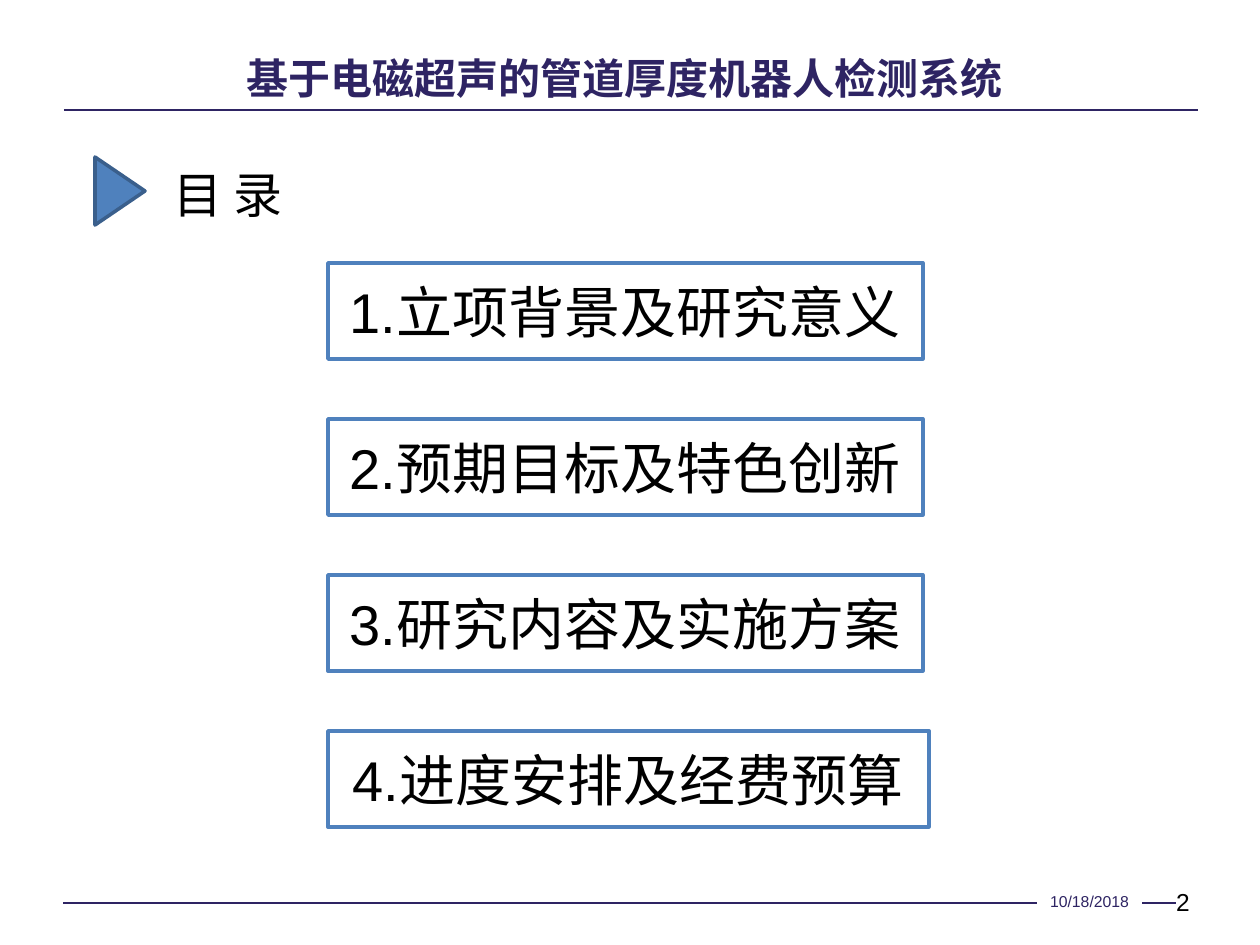
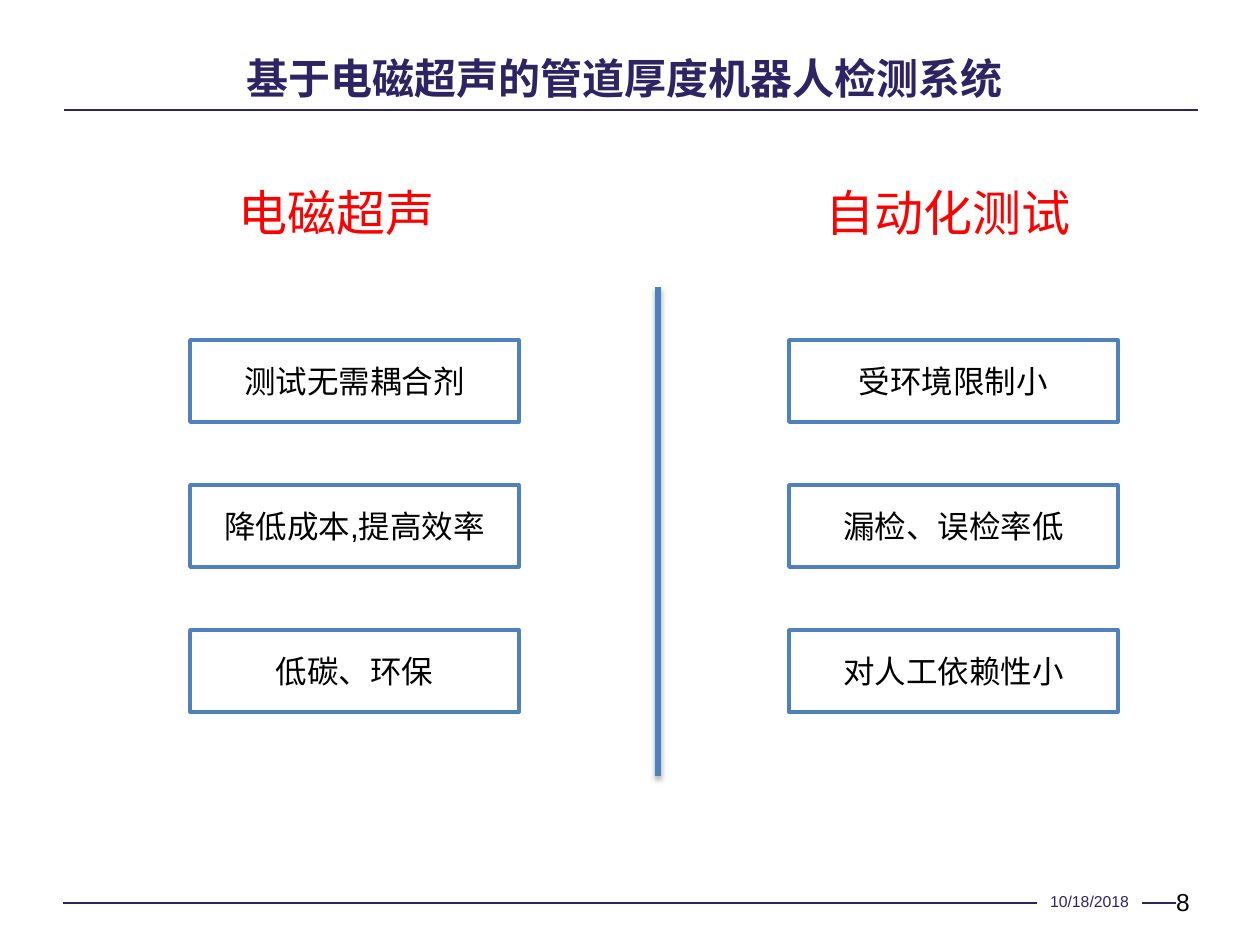
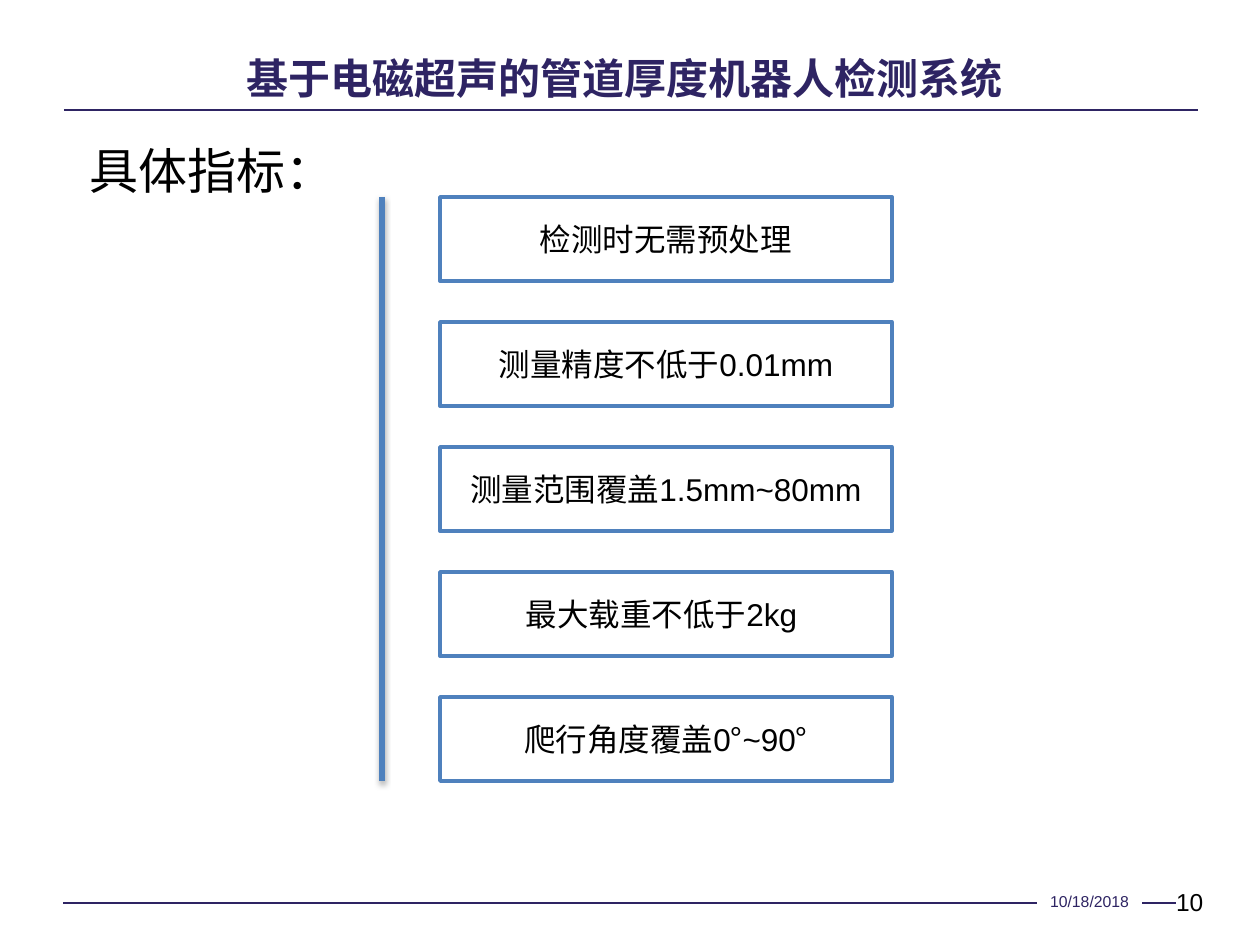
from dataclasses import dataclass
from itertools import groupby

from lxml import etree
from pptx import Presentation
from pptx.dml.color import RGBColor
from pptx.enum.shapes import MSO_CONNECTOR, MSO_SHAPE
from pptx.enum.text import MSO_ANCHOR, MSO_AUTO_SIZE, PP_ALIGN
from pptx.oxml.ns import qn
from pptx.util import Emu, Pt

STRAIGHT = MSO_CONNECTOR.STRAIGHT
RECTANGLE = MSO_SHAPE.RECTANGLE
TRIANGLE = MSO_SHAPE.ISOSCELES_TRIANGLE
TOP, MIDDLE = MSO_ANCHOR.TOP, MSO_ANCHOR.MIDDLE
LEFT, CENTER = PP_ALIGN.LEFT, PP_ALIGN.CENTER
GROW = MSO_AUTO_SIZE.SHAPE_TO_FIT_TEXT
PX_PER_INCH = 126
DECK_TITLE = "基于电磁超声的管道厚度机器人检测系统"
DECK_DATE = "10/18/2018"


@dataclass(frozen=True)
class Theme:
    """Colours, fonts and type sizes of the deck."""
    navy: str = "2E2463"
    blue: str = "4F81BD"
    dark_blue: str = "3A5F8C"
    red: str = "FF0000"
    black: str = "000000"
    white: str = "FFFFFF"
    latin: str = "Arial"
    chinese: str = "Noto Sans CJK SC"
    date: int = 9
    number: int = 14
    body: int = 18
    title: int = 24
    heading: int = 28
    agenda: int = 32


THEME = Theme()


def px(length):
    """Turn pixels into EMU."""
    return Emu(round(length * 914400 / PX_PER_INCH))


def rgb(colour):
    """Turn a hex string into a colour."""
    return RGBColor.from_string(colour)


def format_run(run, size, colour, font, bold):
    """Set the type of one run, for Latin and Chinese text."""
    run.font.name = font
    run.font.size = Pt(size)
    run.font.bold = bold
    run.font.color.rgb = rgb(colour)
    latin = run.font._element.find(qn("a:latin"))
    east_asian = etree.Element(qn("a:ea"), typeface=THEME.chinese)
    latin.addnext(east_asian)


def write(shape, text, size, colour=THEME.black, align=LEFT, anchor=TOP,
          font=THEME.latin, bold=False, inset=True):
    """Write one paragraph, with degree signs in the Chinese font."""
    frame = shape.text_frame
    frame.word_wrap = True
    frame.vertical_anchor = anchor
    if not inset:
        frame.margin_left = frame.margin_right = 0
        frame.margin_top = frame.margin_bottom = 0
    paragraph = frame.paragraphs[0]
    paragraph.alignment = align
    for is_degree, letters in groupby(text, lambda letter: letter == "°"):
        run = paragraph.add_run()
        run.text = "".join(letters)
        format_run(run, size, colour, THEME.chinese if is_degree else font, bold)


def add_block(slide, kind, left, top, width, height, fill, line=None):
    """Add a flat preset shape."""
    shape = slide.shapes.add_shape(kind, px(left), px(top), px(width), px(height))
    shape.shadow.inherit = False
    shape.fill.solid()
    shape.fill.fore_color.rgb = rgb(fill)
    if line:
        shape.line.color.rgb = rgb(line)
        shape.line.width = Pt(2)
    else:
        shape.line.fill.background()
    return shape


def add_text(slide, left, top, width, height):
    """Add an empty text box."""
    return slide.shapes.add_textbox(px(left), px(top), px(width), px(height))


def add_heading(slide, text, left, top, width, colour=THEME.black, font=THEME.latin):
    """Add a large heading whose box grows with its text."""
    box = add_text(slide, left, top, width, 72)
    write(box, text, THEME.heading, colour, font=font)
    box.text_frame.auto_size = GROW


def add_line(slide, start, end, colour, width):
    """Add a straight line and return its empty effect list."""
    line = slide.shapes.add_connector(STRAIGHT, *map(px, start + end))
    line.line.color.rgb = rgb(colour)
    line.line.width = Pt(width)
    properties = line._element.find(qn("p:spPr"))
    return etree.SubElement(properties, qn("a:effectLst"))


def add_divider(slide, x, top, bottom):
    """Add a thick vertical line with a soft shadow."""
    effects = add_line(slide, (x, top), (x, bottom), THEME.blue, 3)
    shadow = etree.SubElement(effects, qn("a:outerShdw"), blurRad="40000",
                              dist="23000", dir="5400000", rotWithShape="0")
    colour = etree.SubElement(shadow, qn("a:srgbClr"), val=THEME.black)
    etree.SubElement(colour, qn("a:alpha"), val="35000")


def add_box(slide, text, left, top, width, height, size=THEME.body):
    """Add an outlined box with centred text."""
    box = add_block(slide, RECTANGLE, left, top, width, height, THEME.white, THEME.blue)
    write(box, text, size, align=CENTER, anchor=MIDDLE)


def add_box_column(slide, texts, left, top, width, height, step):
    """Stack outlined boxes at an even step."""
    for row, text in enumerate(texts):
        add_box(slide, text, left, top + row * step, width, height)


def add_framed_slide(presentation, number):
    """Add a blank slide with the shared title, rules, date and number."""
    slide = presentation.slides.add_slide(presentation.slide_layouts[6])
    add_line(slide, (63, 903), (1218, 903), THEME.navy, 1)
    date = add_block(slide, RECTANGLE, 1037, 892, 105, 20, THEME.white)
    write(date, DECK_DATE, THEME.date, THEME.navy, CENTER, inset=False)
    add_line(slide, (64, 110), (1198, 110), THEME.navy, 1)
    title = add_text(slide, 58, 53, 1134, 60)
    write(title, DECK_TITLE, THEME.title, THEME.navy, CENTER, bold=True, inset=False)
    page = add_block(slide, RECTANGLE, 1176, 887, 46, 30, THEME.white)
    write(page, str(number), THEME.number, inset=False)
    return slide


def build_agenda(presentation):
    """Build the table of contents."""
    slide = add_framed_slide(presentation, 2)
    marker = add_block(slide, TRIANGLE, 86, 166, 68, 50, THEME.blue, THEME.dark_blue)
    marker.rotation = 90
    add_heading(slide, "目 录", 161, 158, 144, font=THEME.chinese)
    chapters = [("立项背景及研究意义", 595), ("预期目标及特色创新", 595),
                ("研究内容及实施方案", 595), ("进度安排及经费预算", 601)]
    for row, (chapter, width) in enumerate(chapters):
        add_box(slide, f"{row + 1}.{chapter}", 328, 263 + row * 156, width, 96,
                THEME.agenda)


def build_advantages(presentation):
    """Build the two columns of advantages."""
    slide = add_framed_slide(presentation, 8)
    add_divider(slide, 658, 287, 776)
    columns = [
        ("电磁超声", 226, 260, 190, ["测试无需耦合剂", "降低成本,提高效率", "低碳、环保"]),
        ("自动化测试", 813, 284, 789, ["受环境限制小", "漏检、误检率低", "对人工依赖性小"]),
    ]
    for heading, heading_left, heading_width, box_left, advantages in columns:
        add_heading(slide, heading, heading_left, 176, heading_width, THEME.red)
        add_box_column(slide, advantages, box_left, 340, 329, 82, 145)


def build_targets(presentation):
    """Build the list of technical targets."""
    slide = add_framed_slide(presentation, 10)
    targets = ["检测时无需预处理", "测量精度不低于0.01mm", "测量范围覆盖1.5mm~80mm",
               "最大载重不低于2kg ", "爬行角度覆盖0°~90°"]
    add_box_column(slide, targets, 440, 197, 452, 84, 125)
    add_heading(slide, "具体指标：", 77, 134, 247)
    add_divider(slide, 382, 197, 781)


def main():
    """Build and save the deck."""
    presentation = Presentation()
    presentation.slide_width = px(1260)
    presentation.slide_height = px(945)
    build_agenda(presentation)
    build_advantages(presentation)
    build_targets(presentation)
    presentation.save("out.pptx")


if __name__ == "__main__":
    main()
